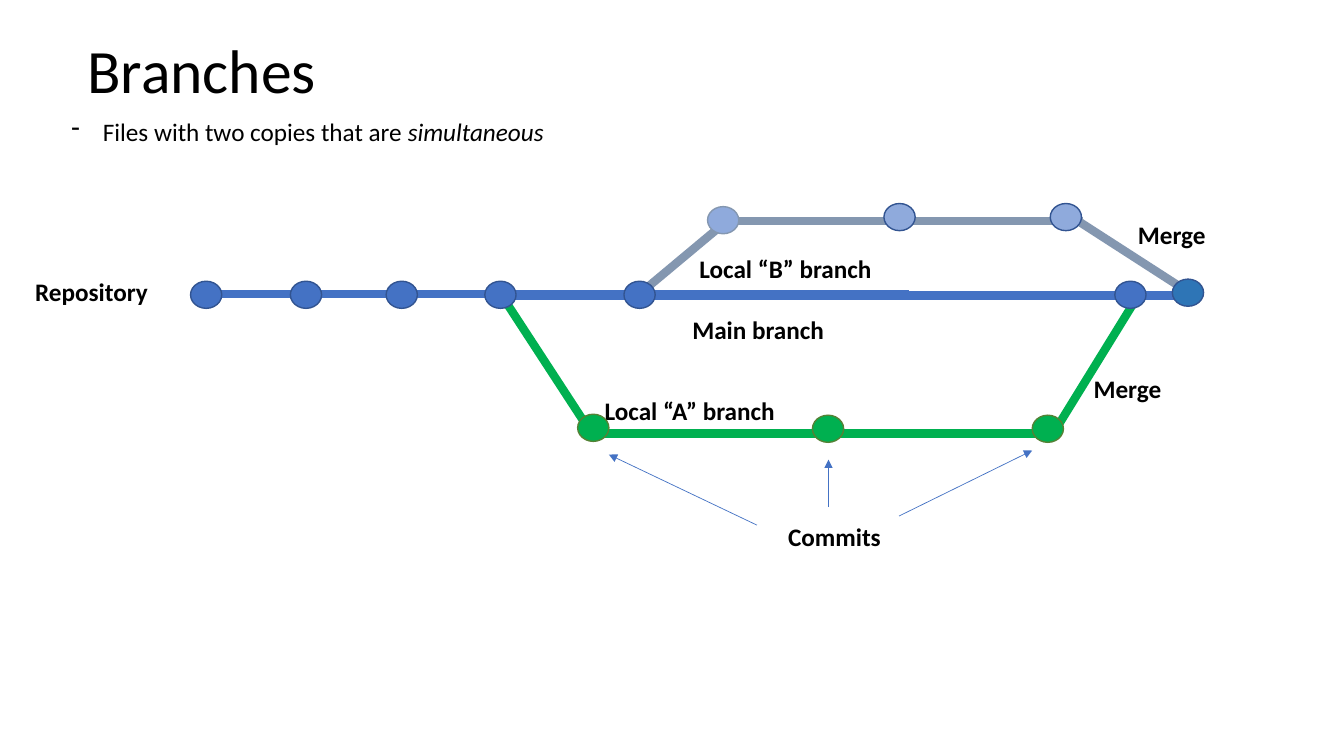
from lxml.etree import SubElement
from pptx import Presentation
from pptx.dml.color import RGBColor
from pptx.enum.shapes import MSO_CONNECTOR, MSO_SHAPE
from pptx.enum.text import MSO_ANCHOR
from pptx.oxml.ns import qn
from pptx.util import Pt

FONT = "Calibri"
BLACK, BLUE, NAVY = "000000", "4472C4", "325491"
SLATE, PALE_BLUE, DEEP_BLUE = "8497B0", "8FAADC", "2E75B6"
GREEN, DARK_GREEN = "00B050", "548235"

COMMIT_W, COMMIT_H = 22.3, 19.4

# Branch lines, in points from the corner of the graph: start, end, colour
BRANCH_LINES = [
    ((133.2, 66.2), (631.4, 66.2), BLUE),
    ((328.3, 67), (826.6, 67), BLUE),
    ((404.6, 165.6), (730.8, 165.6), GREEN),
    ((339.8, 66.2), (404.6, 165.6), GREEN),
    ((733, 167.8), (795.6, 66.2), GREEN),
    ((499.7, 15.1), (438.5, 66.2), SLATE),
    ((499.7, 13.7), (755.3, 13.7), SLATE),
    ((826.6, 61.9), (749.5, 12.2), SLATE),
]

# Commits: left, top, fill, outline
MAIN_COMMITS = [(x, 56.9, BLUE, NAVY)
                for x in (118.1, 189.4, 257.8, 328.3, 427.7, 778.3)]
B_COMMITS = [
    (487.4, 3.6, PALE_BLUE, SLATE),
    (613.4, 1.4, PALE_BLUE, NAVY),
    (732.2, 1.4, PALE_BLUE, NAVY),
]
A_COMMITS = [
    (394.6, 151.9, GREEN, DARK_GREEN),
    (562.3, 152.6, GREEN, DARK_GREEN),
    (719.3, 152.6, GREEN, DARK_GREEN),
]
MERGE_COMMIT = (819.4, 55.4, DEEP_BLUE, NAVY)

# Labels: wording, left, top, width
LABELS = [
    ("Repository", 0, 49.7, 185.8),
    ("Local “A” branch", 406.8, 134.6, 185.8),
    ("Local “B” branch", 474.5, 33.1, 185.8),
    ("Main branch", 469.4, 77, 185.8),
    ("Merge", 756, 118.8, 109.4),
    ("Commits", 537.8, 224.6, 109.4),
    ("Merge", 787.7, 9.4, 63.4),
]

COMMIT_ARROWS = [
    ((624.2, 224.6), (719.3, 177.8)),
    ((573.8, 218.2), (573.8, 184.3)),
    ((522.7, 231.1), (416.9, 180.7)),
]


def color(hex_string):
    return RGBColor.from_string(hex_string)


def add_text(slide, wording, left, top, width, height, size, bold=False, wrap=True):
    box = slide.shapes.add_textbox(Pt(left), Pt(top), Pt(width), Pt(height))
    frame = box.text_frame
    frame.word_wrap = wrap
    frame.text = wording
    for run in frame.paragraphs[0].runs:
        style_run(run, size, bold)
    return frame


def style_run(run, size, bold=False):
    run.font.name = FONT
    run.font.size = Pt(size)
    run.font.bold = bold
    run.font.color.rgb = color(BLACK)


def add_line(slide, start, end, line_color, weight, arrow=False):
    line = slide.shapes.add_connector(
        MSO_CONNECTOR.STRAIGHT, *(Pt(value) for value in (*start, *end)))
    line.line.color.rgb = color(line_color)
    line.line.width = Pt(weight)
    if arrow:
        SubElement(line.line._get_or_add_ln(), qn("a:tailEnd"), type="triangle")
    SubElement(line._element.spPr, qn("a:effectLst"))


def add_commit(slide, left, top, fill, outline):
    commit = slide.shapes.add_shape(
        MSO_SHAPE.OVAL, Pt(left), Pt(top), Pt(COMMIT_W), Pt(COMMIT_H))
    commit.shadow.inherit = False
    commit.fill.solid()
    commit.fill.fore_color.rgb = color(fill)
    commit.line.color.rgb = color(outline)
    commit.line.width = Pt(1)


def add_heading(slide, left, top, width, height):
    """Place the title and the dashed line of text beneath it."""
    title = add_text(slide, "Branches", left, top, width, height, 44)
    title.vertical_anchor = MSO_ANCHOR.MIDDLE
    title.paragraphs[0].line_spacing = 0.9

    summary = add_text(slide, "Files with two copies that are ",
                       left - 11.5, top + 79.2, 355.7, 51, 18, wrap=False)
    paragraph = summary.paragraphs[0]
    properties = paragraph._p.get_or_add_pPr()
    properties.set("marL", str(Pt(22.5)))
    properties.set("indent", str(-Pt(22.5)))
    SubElement(properties, qn("a:buChar"), char="-")
    emphasis = paragraph.add_run()
    emphasis.text = "simultaneous"
    style_run(emphasis, 18)
    emphasis.font.italic = True


def add_branch_graph(slide, left, top):
    """Place branches, labels, commits and arrows from the graph's corner."""
    def shift(point):
        return left + point[0], top + point[1]

    for start, end, branch_color in BRANCH_LINES:
        add_line(slide, shift(start), shift(end), branch_color, 6)
    for wording, x, y, width in LABELS:
        add_text(slide, wording, *shift((x, y)), width, 29, 18, bold=True)
    for x, y, fill, outline in [*MAIN_COMMITS, *B_COMMITS, *A_COMMITS, MERGE_COMMIT]:
        add_commit(slide, *shift((x, y)), fill, outline)
    for start, end in COMMIT_ARROWS:
        add_line(slide, shift(start), shift(end), BLUE, 0.5, arrow=True)


def main():
    presentation = Presentation()
    presentation.slide_width = Pt(960)
    presentation.slide_height = Pt(540)
    slide = presentation.slides.add_slide(presentation.slide_layouts[6])
    add_heading(slide, 55.4, 0, 828, 104.4)
    add_branch_graph(slide, 18, 144)
    presentation.save("out.pptx")


if __name__ == "__main__":
    main()
